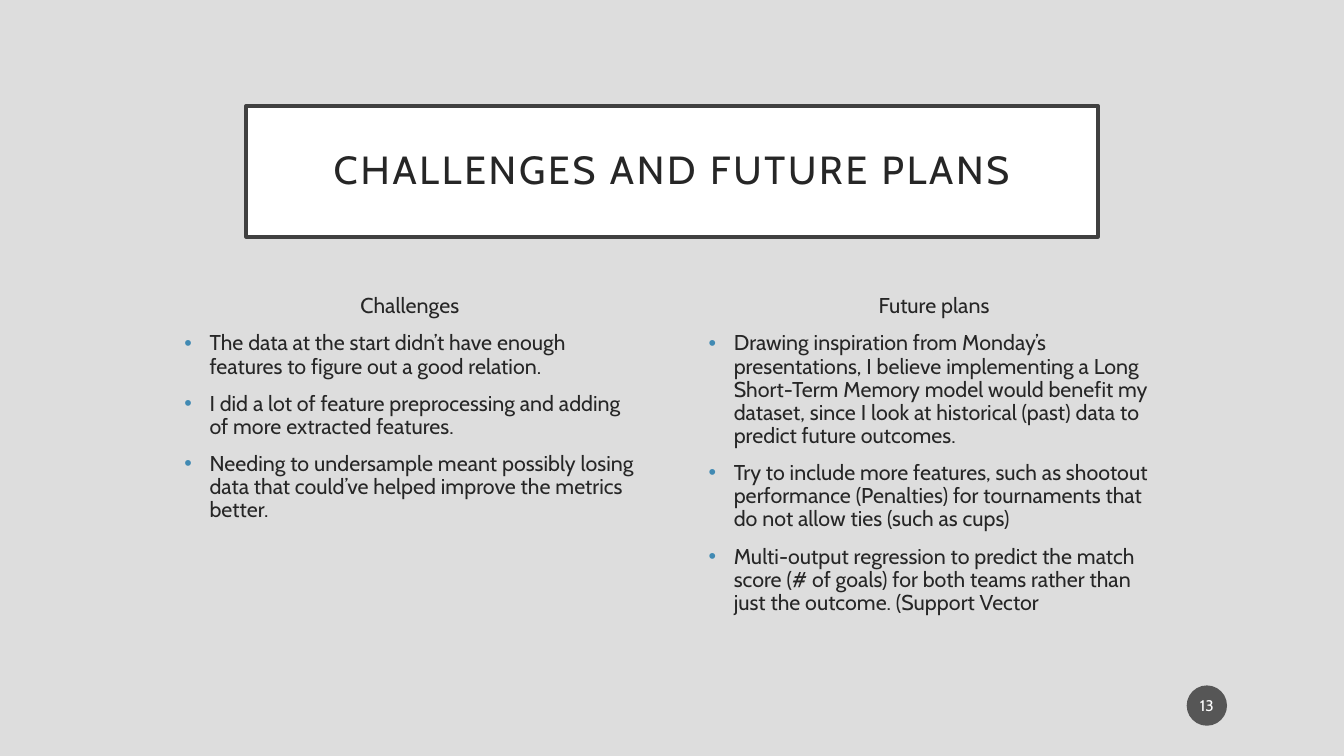
from pptx import Presentation
from pptx import util as u
from pptx.dml.color import RGBColor
from pptx.enum import shapes, text
from pptx.oxml.ns import qn
from lxml import etree

FONT = "Cabin"
INK = "262626"
ACCENT = "418AB3"
CENTER = text.PP_ALIGN.CENTER
LEFT = text.PP_ALIGN.LEFT
MIDDLE = text.MSO_ANCHOR.MIDDLE

COLUMNS = [
    ("Challenges", [
        "The data at the start didn’t have enough features to figure out a good relation.",
        "I did a lot of feature preprocessing and adding of more extracted features.",
        "Needing to undersample meant possibly losing data that could’ve helped improve "
        "the metrics better.",
    ]),
    ("Future plans", [
        "Drawing inspiration from Monday’s presentations, I believe implementing a Long "
        "Short-Term Memory model would benefit my dataset, since I look at historical "
        "(past) data to predict future outcomes.",
        "Try to include more features, such as shootout performance (Penalties) for "
        "tournaments that do not allow ties (such as cups)",
        "Multi-output regression to predict the match score (# of goals) for both teams "
        "rather than just the outcome. (Support Vector",
    ]),
]


def color(value):
    return RGBColor.from_string(value)


def apply(target, values):
    for name, value in values.items():
        setattr(target, name, value)


def place(shape, *box):
    apply(shape, dict(zip(("left", "top", "width", "height"), map(u.Inches, box))))


def set_frame(frame, horizontal, vertical, anchor):
    apply(frame, {
        "word_wrap": True, "auto_size": text.MSO_AUTO_SIZE.NONE, "vertical_anchor": anchor,
        "margin_left": u.Inches(horizontal), "margin_right": u.Inches(horizontal),
        "margin_top": u.Inches(vertical), "margin_bottom": u.Inches(vertical),
    })


def write(paragraph, words, size, ink=INK, **layout):
    apply(paragraph, layout)
    run = paragraph.add_run()
    run.text = words
    apply(run.font, {"name": FONT, "size": u.Pt(size), "bold": False})
    run.font.color.rgb = color(ink)
    return run


def add_bullet(paragraph):
    properties = paragraph._p.get_or_add_pPr()
    properties.set("marL", str(u.Inches(0.25)))
    properties.set("indent", str(u.Inches(-0.25)))
    bullet_color = etree.SubElement(properties, qn("a:buClr"))
    etree.SubElement(bullet_color, qn("a:srgbClr"), val=ACCENT)
    etree.SubElement(properties, qn("a:buFont"), typeface="Arial")
    etree.SubElement(properties, qn("a:buChar"), char="•")


def format_title(title):
    place(title, 2.44, 1.05, 8.45, 1.3)
    title.fill.solid()
    title.fill.fore_color.rgb = color("FFFFFF")
    title.line.color.rgb = color("404040")
    title.line.width = u.Pt(2.5)
    set_frame(title.text_frame, 0.2, 0.2, MIDDLE)
    run = write(title.text_frame.paragraphs[0], "CHALLENGES AND FUTURE PLANS", 28,
                alignment=CENTER, line_spacing=0.9)
    run.font._element.set("spc", "200")


def add_column(slide, left, heading, points):
    box = slide.shapes.add_textbox(*map(u.Inches, (left, 2.88, 4.67, 3.39)))
    frame = box.text_frame
    set_frame(frame, 0.1, 0.05, text.MSO_ANCHOR.TOP)
    spacing = {"line_spacing": 0.9, "space_before": u.Pt(10)}
    write(frame.paragraphs[0], heading, 15.3, alignment=CENTER, **spacing)
    for point in points:
        paragraph = frame.add_paragraph()
        write(paragraph, point, 15.3, alignment=LEFT, **spacing)
        add_bullet(paragraph)


def add_page_number(slide, number):
    badge = slide.shapes.add_shape(shapes.MSO_SHAPE.OVAL,
                                   *map(u.Inches, (11.77, 6.8, 0.4, 0.4)))
    badge.shadow.inherit = False
    badge.fill.solid()
    badge.fill.fore_color.rgb = color("1D1D1D")
    fill_color = badge._element.spPr.find(qn("a:solidFill"))[0]
    etree.SubElement(fill_color, qn("a:alpha"), val="70000")
    badge.line.fill.background()
    set_frame(badge.text_frame, 0.02, 0.05, MIDDLE)
    badge.text_frame.word_wrap = False
    write(badge.text_frame.paragraphs[0], number, 11, "FFFFFF", alignment=CENTER)


def main():
    presentation = Presentation()
    presentation.slide_width = u.Inches(13.33)
    presentation.slide_height = u.Inches(7.5)
    slide = presentation.slides.add_slide(presentation.slide_layouts[5])
    slide.background.fill.solid()
    slide.background.fill.fore_color.rgb = color("DDDDDD")
    format_title(slide.shapes.title)
    for index, (heading, points) in enumerate(COLUMNS):
        add_column(slide, 1.73 + index * 5.2, heading, points)
    add_page_number(slide, "13")
    presentation.save("out.pptx")


if __name__ == "__main__":
    main()
